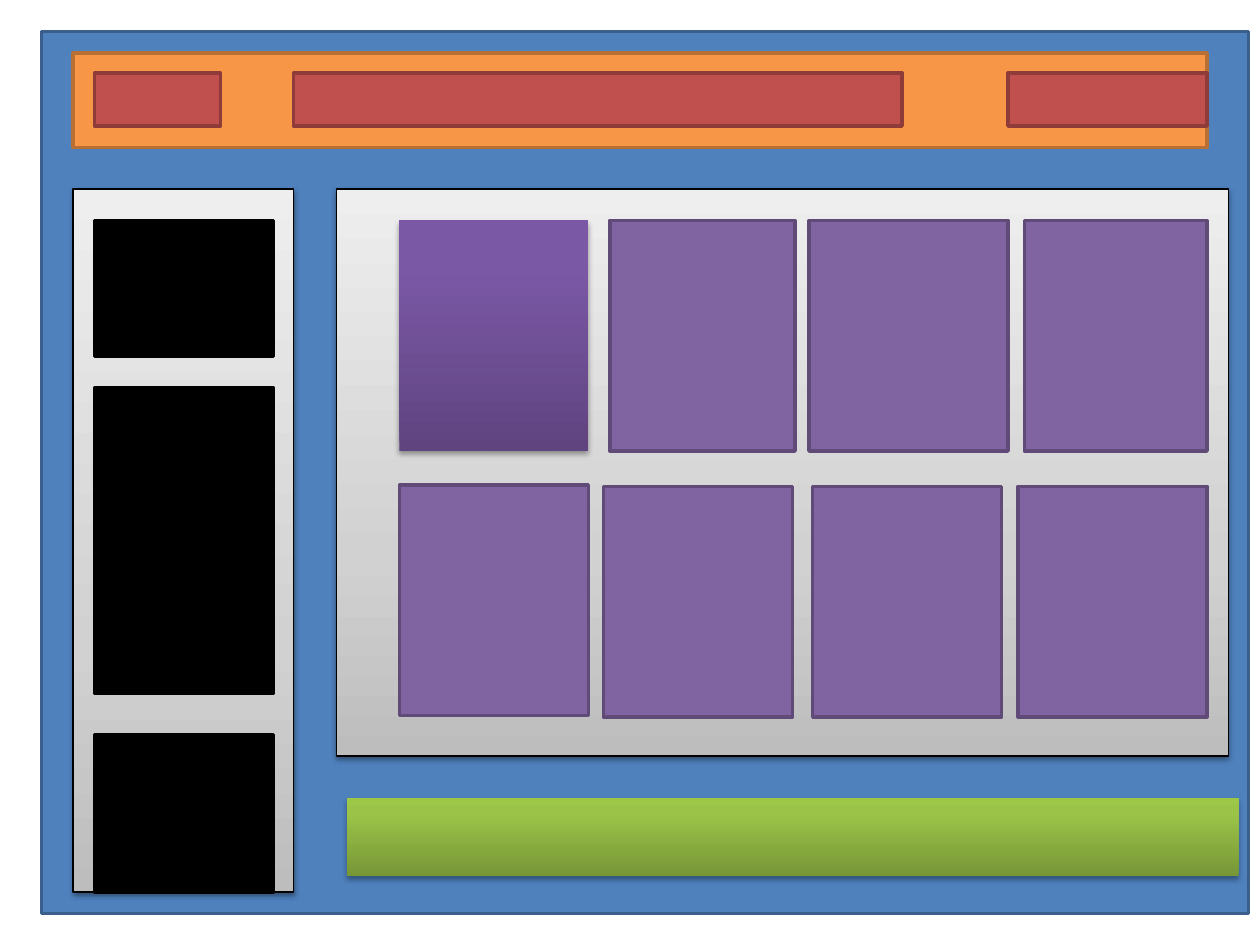
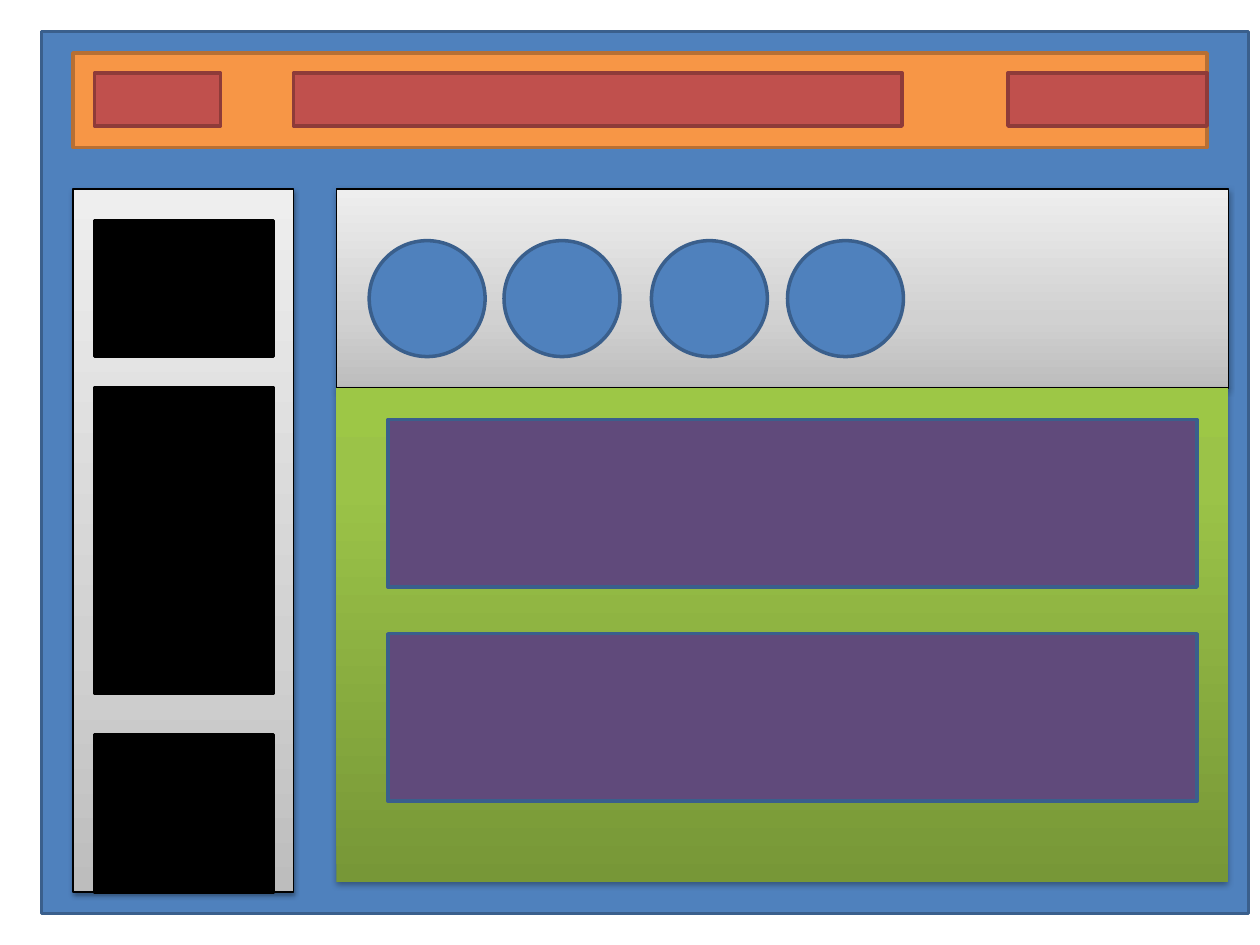
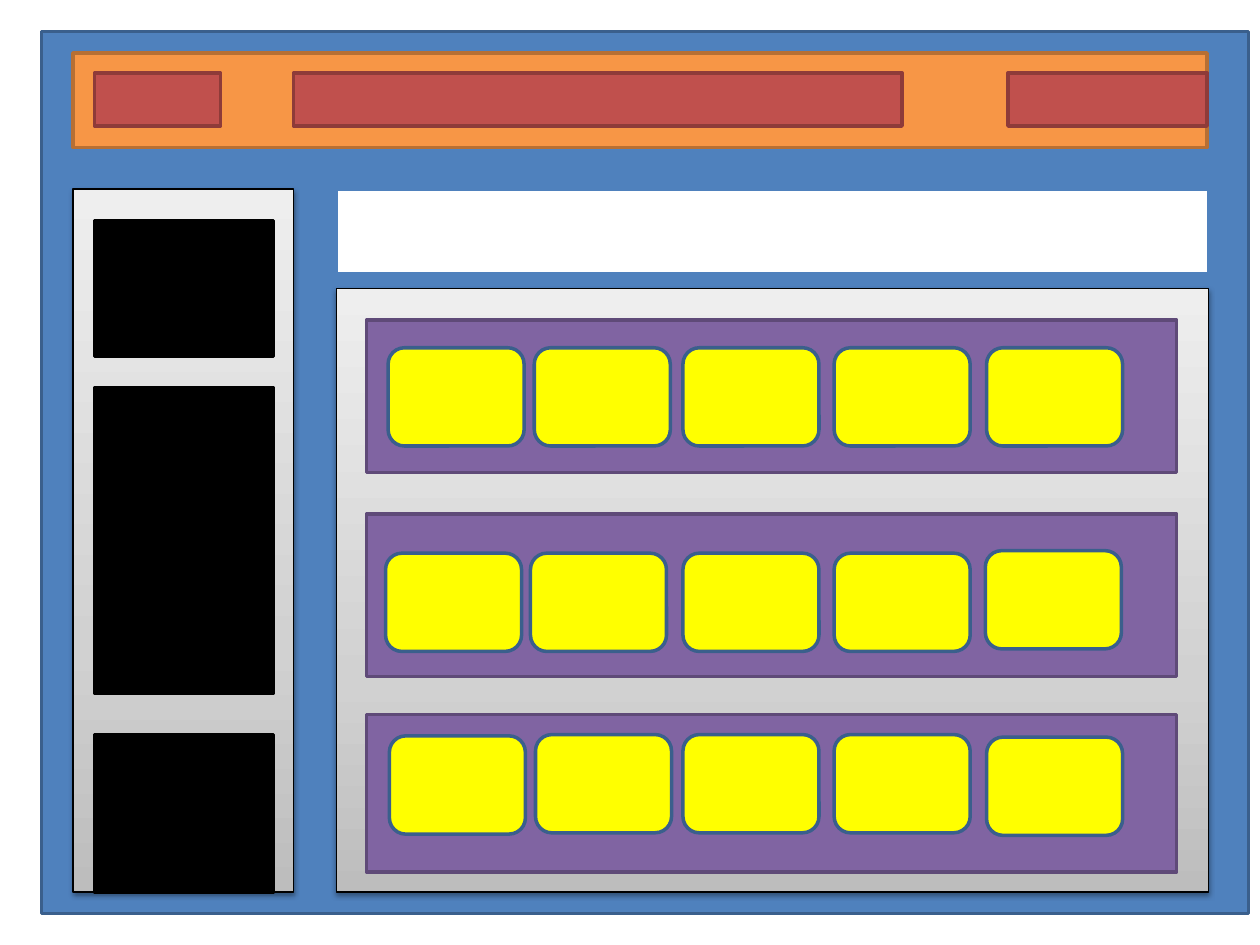
from lxml import etree
from copy import deepcopy
from pptx import Presentation
from pptx.dml.color import RGBColor
from pptx.enum.shapes import MSO_SHAPE
from pptx.oxml.ns import qn
from pptx.util import Inches, Pt

RECT = MSO_SHAPE.RECTANGLE
OVAL = MSO_SHAPE.OVAL
ROUND = MSO_SHAPE.ROUNDED_RECTANGLE

BLUE = RGBColor(0x4F, 0x81, 0xBD)
NAVY = RGBColor(0x3A, 0x5F, 0x8C)
ORANGE = RGBColor(0xF7, 0x96, 0x46)
RUST = RGBColor(0xB7, 0x6F, 0x34)
RED = RGBColor(0xC0, 0x50, 0x4D)
MAROON = RGBColor(0x8E, 0x3B, 0x39)
PURPLE = RGBColor(0x80, 0x64, 0xA2)
PLUM = RGBColor(0x5F, 0x4A, 0x78)
GRAPE = RGBColor(0x60, 0x4A, 0x7B)
YELLOW = RGBColor(0xFF, 0xFF, 0x00)
WHITE = RGBColor(0xFF, 0xFF, 0xFF)
BLACK = RGBColor(0x00, 0x00, 0x00)

GRAY_FADE = [(0, RGBColor(0xBD, 0xBD, 0xBD)), (0.35, RGBColor(0xD1, 0xD1, 0xD1)),
             (1, RGBColor(0xEE, 0xEE, 0xEE))]
PLUM_FADE = [(0, RGBColor(0x5F, 0x44, 0x80)), (0.8, RGBColor(0x7B, 0x58, 0xA6)),
             (1, RGBColor(0x7C, 0x57, 0xA8))]
GREEN_FADE = [(0, RGBColor(0x77, 0x97, 0x37)), (0.8, RGBColor(0x9B, 0xC3, 0x48)),
              (1, RGBColor(0x9D, 0xC7, 0x46))]


def add_box(slide, box, fill, line, kind=RECT):
    shape = slide.shapes.add_shape(kind, *[Inches(n) for n in box])
    shape.shadow.inherit = False
    shape.fill.solid()
    shape.fill.fore_color.rgb = fill
    shape.line.color.rgb = line
    shape.line.width = Pt(2)
    return shape


def add_fade(slide, box, fade, edge=False):
    shape = add_box(slide, box, WHITE, BLACK)
    shape.fill.gradient()
    shape.fill.gradient_angle = 90
    props = shape._element.spPr
    stops = props.find(qn("a:gradFill")).find(qn("a:gsLst"))
    stops.append(deepcopy(stops[0]))
    for stop, (place, color) in zip(shape.fill.gradient_stops, fade):
        stop.position = place
        stop.color.rgb = color
    if edge:
        shape.line.width = Pt(0.75)
    else:
        shape.line.fill.background()
    shadow = etree.SubElement(
        props.find(qn("a:effectLst")), qn("a:outerShdw"), blurRad=str(Pt(3.1)),
        dist=str(Pt(1.6 if edge else 1.8)), dir="5400000", rotWithShape="0")
    tint = etree.SubElement(shadow, qn("a:srgbClr"), val="000000")
    etree.SubElement(tint, qn("a:alpha"), val="38000" if edge else "35000")


deck = Presentation()
deck.slide_width = Inches(10)
deck.slide_height = Inches(7.5)

for _ in range(3):
    slide = deck.slides.add_slide(deck.slide_layouts[6])
    add_box(slide, (0.33, 0.25, 9.58, 7), BLUE, NAVY)
    add_box(slide, (0.58, 0.42, 9, 0.75), ORANGE, RUST)
    for left, width in [(0.75, 1), (2.33, 4.83), (8, 1.58)]:
        add_box(slide, (left, 0.58, width, 0.42), RED, MAROON)
    add_fade(slide, (0.58, 1.5, 1.75, 5.58), GRAY_FADE, True)
    for top, height in [(1.75, 1.08), (3.08, 2.42), (5.83, 1.25)]:
        add_box(slide, (0.75, top, 1.42, height), BLACK, BLACK)

cards, feed, shelf = deck.slides

add_fade(cards, (2.67, 1.5, 7.08, 4.5), GRAY_FADE, True)
add_fade(cards, (3.17, 1.75, 1.5, 1.83), PLUM_FADE)
for left, width in [(4.84, 1.47), (6.42, 1.58), (8.13, 1.45)]:
    add_box(cards, (left, 1.75, width, 1.83), PURPLE, PLUM)
for left, top in [(3.17, 3.85), (4.79, 3.86), (6.45, 3.86), (8.08, 3.86)]:
    add_box(cards, (left, top, 1.5, 1.83), PURPLE, PLUM)
add_fade(cards, (2.75, 6.33, 7.08, 0.62), GREEN_FADE)

add_fade(feed, (2.67, 1.5, 7.08, 1.58), GRAY_FADE, True)
add_fade(feed, (2.67, 3.08, 7.08, 3.92), GREEN_FADE)
for left in (2.93, 4, 5.17, 6.25):
    add_box(feed, (left, 1.91, 0.92, 0.92), BLUE, NAVY, OVAL)
for top in (3.33, 5.03):
    add_box(feed, (3.08, top, 6.42, 1.33), GRAPE, NAVY)

add_fade(shelf, (2.67, 2.29, 6.92, 4.79), GRAY_FADE, True)
add_box(shelf, (2.67, 1.5, 6.92, 0.67), WHITE, BLUE)
rows = [
    (2.54, 1.21, (3.08, 4.24, 5.42, 6.62, 7.83), (2.76, 2.76, 2.76, 2.76, 2.76)),
    (4.08, 1.29, (3.06, 4.21, 5.42, 6.62, 7.82), (4.39, 4.39, 4.39, 4.39, 4.37)),
    (5.67, 1.25, (3.09, 4.25, 5.42, 6.62, 7.83), (5.84, 5.83, 5.83, 5.83, 5.85)),
]
for top, height, lefts, tops in rows:
    add_box(shelf, (2.91, top, 6.43, height), PURPLE, PLUM)
    for left, high in zip(lefts, tops):
        add_box(shelf, (left, high, 1.08, 0.78), YELLOW, NAVY, ROUND)

deck.save("out.pptx")
